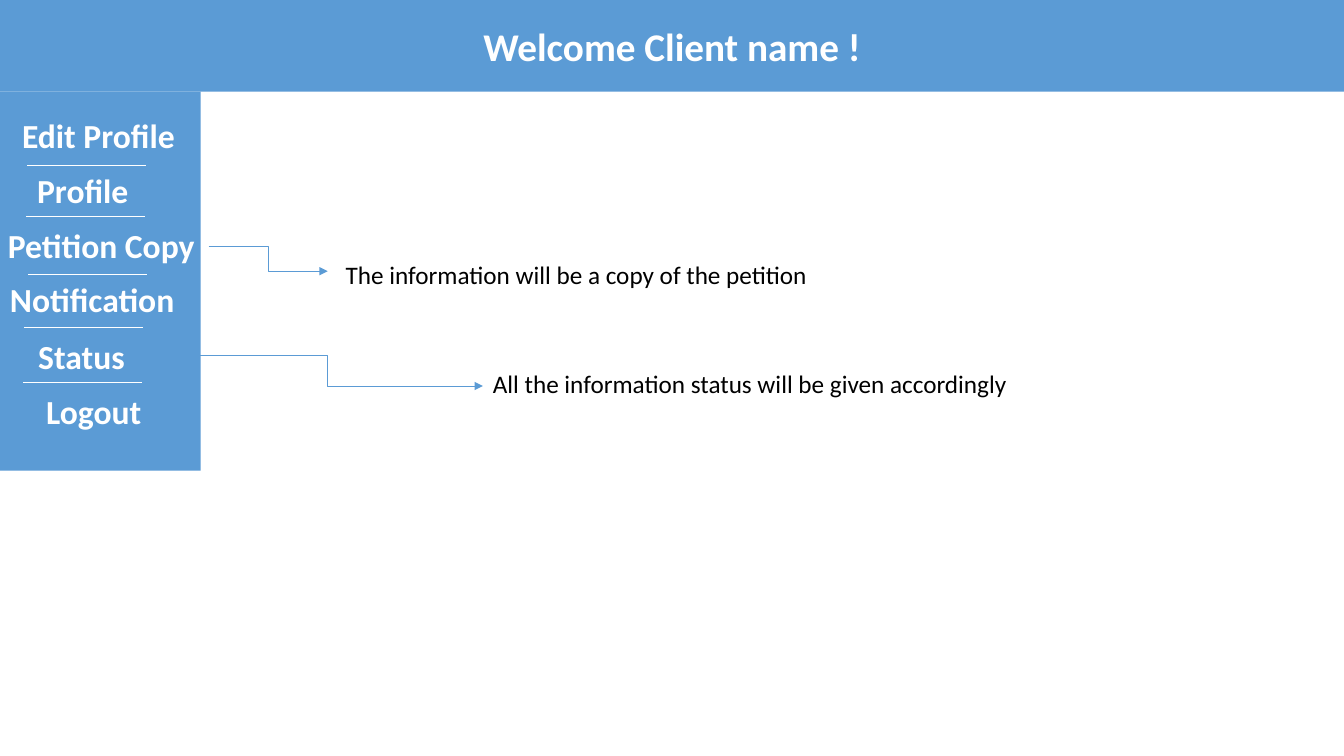
from lxml.etree import SubElement
from pptx import Presentation
from pptx.dml.color import RGBColor
from pptx.enum.shapes import MSO_CONNECTOR, MSO_SHAPE
from pptx.enum.text import MSO_ANCHOR, PP_ALIGN
from pptx.oxml.ns import qn
from pptx.util import Inches, Pt

BLUE, WHITE, BLACK = "5B9BD5", "FFFFFF", "000000"


def color(code):
    return RGBColor.from_string(code)


class Page:
    """Holds the text style and the current slide."""

    def __init__(self, slide, face):
        self.shapes = slide.shapes
        self.face = face

    def put(self, frame, text, size, ink, bold):
        para = frame.paragraphs[0]
        para.text = text
        font = para.font
        font.name, font.size, font.bold = self.face, Pt(size), bold
        font.color.rgb = color(ink)
        return para

    def panel(self, left, top, width, height):
        box = self.shapes.add_shape(
            MSO_SHAPE.RECTANGLE, Inches(left), Inches(top), Inches(width), Inches(height))
        box.shadow.inherit = False
        box.fill.solid()
        box.fill.fore_color.rgb = color(BLUE)
        box.line.fill.background()
        return box

    def label(self, text, left, top, width, height, size, ink, bold=False):
        box = self.shapes.add_textbox(
            Inches(left), Inches(top), Inches(width), Inches(height))
        box.text_frame.word_wrap = True
        self.put(box.text_frame, text, size, ink, bold)

    def link(self, kind, start, end, ink):
        line = self.shapes.add_connector(kind, *map(Inches, start + end))
        line.line.color.rgb = color(ink)
        line.line.width = Pt(0.5)
        SubElement(line.element.spPr, qn("a:effectLst"))
        return line

    def rule(self, left, top, width):
        self.link(MSO_CONNECTOR.STRAIGHT, (left, top), (left + width, top), WHITE)

    def arrow(self, start, end):
        line = self.link(MSO_CONNECTOR.ELBOW, start, end, BLUE)
        SubElement(line.element.spPr.find(qn("a:ln")), qn("a:tailEnd"), type="triangle")


def main():
    deck = Presentation()
    deck.slide_width, deck.slide_height = Inches(13.33), Inches(7.5)
    page = Page(deck.slides.add_slide(deck.slide_layouts[6]), "Calibri")

    # Header bar
    head = page.panel(0, 0, 13.33, 0.91).text_frame
    head.vertical_anchor = MSO_ANCHOR.MIDDLE
    title = page.put(head, "Welcome Client name !", 28, WHITE, True)
    title.alignment = PP_ALIGN.CENTER

    # Side menu
    page.panel(0, 0.91, 1.99, 3.76)
    menu = [
        ("Edit Profile", 0.12, 1.09, 1.91),
        ("Profile", 0.27, 1.64, 1.93),
        ("Petition Copy", -0.02, 2.18, 2.21),
        ("Notification", 0, 2.72, 1.91),
        ("Status", 0.28, 3.28, 1.71),
        ("Logout", 0.36, 3.83, 1.71),
    ]
    for text, left, top, width in menu:
        page.label(text, left, top, width, 0.5, 24, WHITE, True)

    # Menu dividers
    for left, top in [(0.27, 1.64), (0.26, 2.15), (0.28, 2.72), (0.24, 3.25), (0.23, 3.79)]:
        page.rule(left, top, 1.18)

    # Notes with arrows from the menu
    notes = [
        ("The information will be a copy of the petition", 3.33, 2.52, (2.07, 2.44), (3.25, 2.69)),
        ("All the information status will be given accordingly", 4.79, 3.61, (1.71, 3.53), (4.79, 3.83)),
    ]
    for text, left, top, start, end in notes:
        page.arrow(start, end)
        page.label(text, left, top, 6.67, 0.4, 18, BLACK)

    deck.save("out.pptx")


if __name__ == "__main__":
    main()
